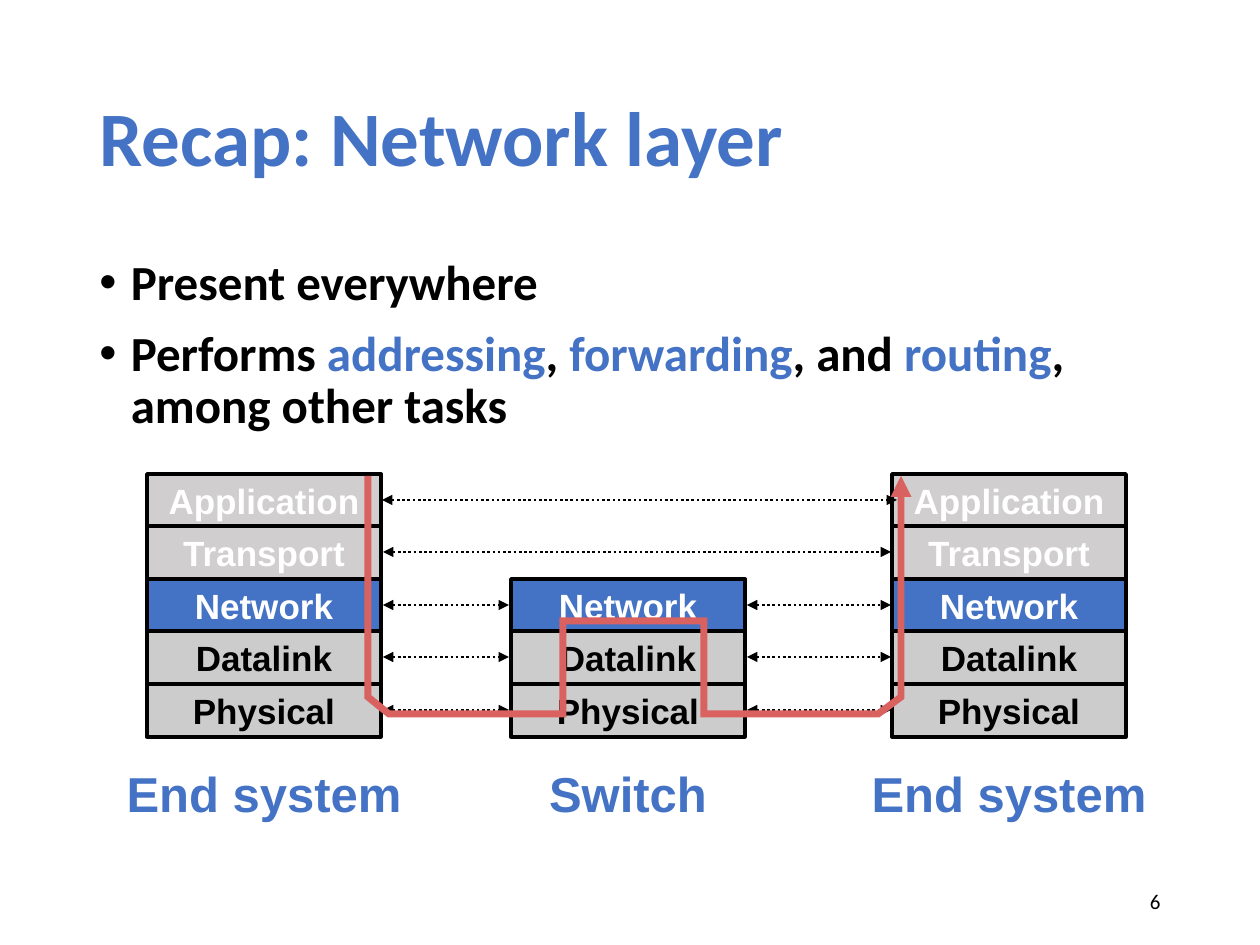
from dataclasses import dataclass

from lxml import etree
from pptx import Presentation
from pptx.dml.color import RGBColor
from pptx.enum.dml import MSO_LINE
from pptx.enum.shapes import MSO_CONNECTOR, MSO_SHAPE
from pptx.enum.text import MSO_ANCHOR, PP_ALIGN
from pptx.oxml.ns import qn
from pptx.util import Pt

PX = 914400 / 126


@dataclass(frozen=True)
class Theme:
    """Colours, fonts and type sizes of the slide."""
    blue: str = "4472C4"
    black: str = "000000"
    white: str = "FFFFFF"
    upper_grey: str = "D0CECE"
    lower_grey: str = "CCCCCC"
    path_red: str = "D9615F"
    text_font: str = "Calibri"
    diagram_font: str = "Arial"
    title_size: int = 44
    body_size: int = 28
    layer_size: int = 20
    number_size: int = 12


THEME = Theme()


def px(*lengths):
    """Turn pixel lengths into a list of EMU values."""
    return [round(length * PX) for length in lengths]


def add_run(paragraph, text, size, color, font, bold=True):
    """Append a formatted run to a paragraph."""
    run = paragraph.add_run()
    run.text = text
    run.font.size = Pt(size)
    run.font.name = font
    run.font.bold = bold
    run.font.color.rgb = RGBColor.from_string(color)


prs = Presentation()
prs.slide_width, prs.slide_height = px(1260, 945)
slide = prs.slides.add_slide(prs.slide_layouts[5])
shapes = slide.shapes

# Title
title = shapes.title
title.left, title.top, title.width, title.height = px(87, 50, 1086, 183)
title.text_frame.vertical_anchor = MSO_ANCHOR.MIDDLE
heading = title.text_frame.paragraphs[0]
heading.alignment = PP_ALIGN.LEFT
heading.line_spacing = 0.9
add_run(heading, "Recap: Network layer", THEME.title_size, THEME.blue, THEME.text_font)

# Bullets
BULLETS = [
    [("Present everywhere", THEME.black)],
    [("Performs ", THEME.black), ("addressing", THEME.blue), (", ", THEME.black),
     ("forwarding", THEME.blue), (", and ", THEME.black), ("routing", THEME.blue),
     (", among other tasks", THEME.black)],
]
body = shapes.add_textbox(*px(87, 252, 1086, 600)).text_frame
body.word_wrap = True
for index, runs in enumerate(BULLETS):
    bullet = body.add_paragraph() if index else body.paragraphs[0]
    bullet.line_spacing = 0.9
    bullet.space_before = Pt(10)
    for text, color in runs:
        add_run(bullet, text, THEME.body_size, color, THEME.text_font)
    properties = bullet._p.get_or_add_pPr()
    properties.set("marL", "228600")
    properties.set("indent", "-228600")
    etree.SubElement(properties, qn("a:buFont"), typeface="Arial")
    etree.SubElement(properties, qn("a:buChar"), char="•")

# Slide number
number = shapes.add_textbox(*px(890, 876, 283, 50)).text_frame
number.vertical_anchor = MSO_ANCHOR.MIDDLE
number.word_wrap = True
number.paragraphs[0].alignment = PP_ALIGN.RIGHT
add_run(number.paragraphs[0], "6", THEME.number_size, THEME.black, THEME.text_font, False)

# Protocol stacks
LAYERS = [
    ("Application", THEME.upper_grey, THEME.white),
    ("Transport", THEME.upper_grey, THEME.white),
    ("Network", THEME.blue, THEME.white),
    ("Datalink", THEME.lower_grey, THEME.black),
    ("Physical", THEME.lower_grey, THEME.black),
]
STACKS = [("End system", 147, 0), ("Switch", 511, 2), ("End system", 892, 0)]
LAYER_WIDTH, LAYER_HEIGHT = 234, 53
layer_tops = [474 + 105 * row // 2 for row in range(len(LAYERS))]

for name, left, first_layer in STACKS:
    for (layer, fill, color), top in list(zip(LAYERS, layer_tops))[first_layer:]:
        box = shapes.add_shape(MSO_SHAPE.RECTANGLE, *px(left, top, LAYER_WIDTH, LAYER_HEIGHT))
        box.shadow.inherit = False
        box.fill.solid()
        box.fill.fore_color.rgb = RGBColor.from_string(fill)
        box.line.color.rgb = RGBColor.from_string(THEME.black)
        box.line.width = Pt(2)
        frame = box.text_frame
        frame.margin_top = frame.margin_bottom = 0
        frame.vertical_anchor = MSO_ANCHOR.MIDDLE
        frame.paragraphs[0].alignment = PP_ALIGN.CENTER
        add_run(frame.paragraphs[0], layer, THEME.layer_size, color, THEME.diagram_font)
    caption = shapes.add_textbox(*px(left - 35, 757, LAYER_WIDTH + 70, 72)).text_frame
    caption.word_wrap = True
    caption.paragraphs[0].alignment = PP_ALIGN.CENTER
    add_run(caption.paragraphs[0], name, THEME.body_size, THEME.blue, THEME.diagram_font)

# Dotted links between peer layers: layer row, start x, end x
LINKS = [(0, 382, 897), (1, 383, 891)]
LINKS += [(row, start, end) for start, end in [(383, 509), (747, 891)] for row in (2, 3, 4)]
for row, start, end in LINKS:
    y = layer_tops[row] + LAYER_HEIGHT // 2
    link = shapes.add_connector(MSO_CONNECTOR.STRAIGHT, *px(start, y, end, y))
    link.line.color.rgb = RGBColor.from_string(THEME.black)
    link.line.width = Pt(1.5)
    link.line.dash_style = MSO_LINE.ROUND_DOT
    outline = link.line._get_or_add_ln()
    etree.SubElement(outline, qn("a:headEnd"), type="triangle")
    etree.SubElement(outline, qn("a:tailEnd"), type="triangle")
    etree.SubElement(link._element.spPr, qn("a:effectLst"))

# Path of a packet down, through the switch, and up again
PACKET_PATH = [(368, 476), (368, 697), (389, 714), (563, 714), (563, 621),
               (704, 621), (704, 714), (878, 714), (901, 697), (901, 476)]
builder = shapes.build_freeform(*PACKET_PATH[0], scale=PX)
builder.add_line_segments(PACKET_PATH[1:], close=False)
packet = builder.convert_to_shape()
packet.shadow.inherit = False
packet.fill.background()
packet.line.color.rgb = RGBColor.from_string(THEME.path_red)
packet.line.width = Pt(4)
packet_outline = packet.line._get_or_add_ln()
etree.SubElement(packet_outline, qn("a:miter"), lim="800000")
etree.SubElement(packet_outline, qn("a:tailEnd"), type="triangle")

prs.save("out.pptx")
